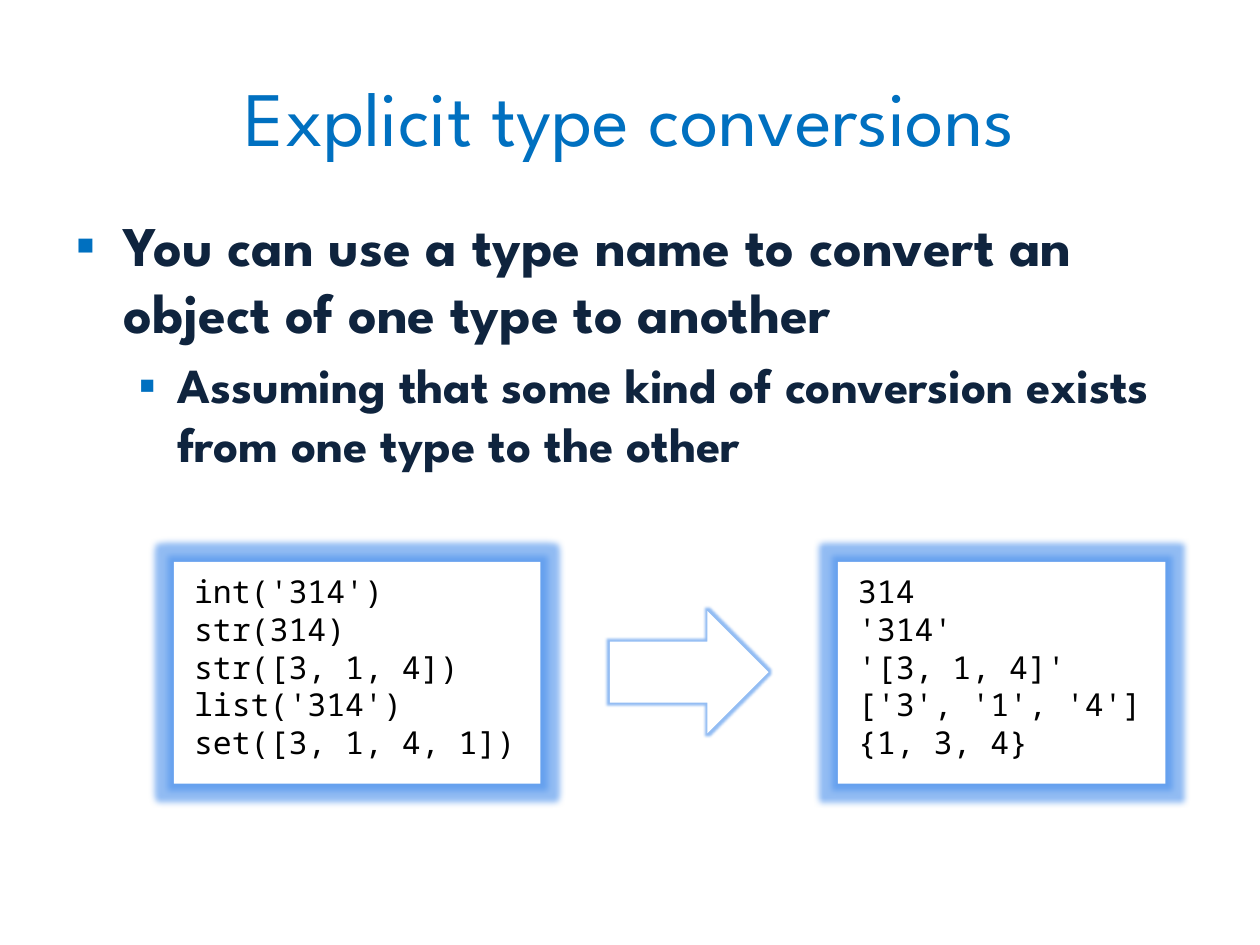
from lxml.etree import SubElement
from pptx import Presentation
from pptx.dml.color import RGBColor
from pptx.enum.shapes import MSO_SHAPE
from pptx.enum.text import MSO_ANCHOR, PP_ALIGN
from pptx.oxml.ns import qn
from pptx.util import Inches, Pt

BLUE = RGBColor(0x00, 0x70, 0xC0)
NAVY = RGBColor(0x0F, 0x24, 0x3E)
GLOW = RGBColor(0x4A, 0x90, 0xEC)
WHITE = RGBColor(0xFF, 0xFF, 0xFF)
BLACK = RGBColor(0x00, 0x00, 0x00)
HEADING_FONT = "League Spartan"
CODE_FONT = "Noto Sans Mono"

presentation = Presentation()
presentation.slide_width = Inches(10)
presentation.slide_height = Inches(7.5)
slide = presentation.slides.add_slide(presentation.slide_layouts[1])


def place(part, left, top, width, height):
    part.left, part.top = Inches(left), Inches(top)
    part.width, part.height = Inches(width), Inches(height)


def add_glowing_shape(kind, left, top, width, height, radius):
    """Add a white shape without an outline, surrounded by a blue glow."""
    shape = slide.shapes.add_shape(
        kind, Inches(left), Inches(top), Inches(width), Inches(height))
    shape.shadow.inherit = False
    shape.fill.solid()
    shape.fill.fore_color.rgb = WHITE
    shape.line.fill.background()
    effects = shape._element.spPr.find(qn("a:effectLst"))
    glow = SubElement(effects, qn("a:glow"), rad=str(Inches(radius)))
    color = SubElement(glow, qn("a:srgbClr"), val=str(GLOW))
    SubElement(color, qn("a:alpha"), val="60000")
    return shape


title = slide.shapes.title
place(title, 0.5, 0.29, 9, 1.25)
title.text_frame.vertical_anchor = MSO_ANCHOR.MIDDLE
heading = title.text_frame.paragraphs[0]
heading.text = "Explicit type conversions"
heading.alignment = PP_ALIGN.CENTER
heading.font.name = HEADING_FONT
heading.font.size = Pt(44)
heading.font.color.rgb = BLUE

# Text, text indent in inches, hanging bullet in inches, size in points
POINTS = [
    ("You can use a type name to convert an object of one type to another",
     0.38, 0.38, 32),
    ("Assuming that some kind of conversion exists from one type to the other",
     0.81, 0.31, 28),
]
body = slide.placeholders[1]
place(body, 0.5, 1.62, 9, 4.95)
body.text_frame.text = "\n".join(point[0] for point in POINTS)
for level, (paragraph, (_, indent, hanging, size)) in enumerate(
        zip(body.text_frame.paragraphs, POINTS)):
    paragraph.level = level
    properties = paragraph._p.get_or_add_pPr()
    properties.set("marL", str(Inches(indent)))
    properties.set("indent", str(-Inches(hanging)))
    bullet_color = SubElement(properties, qn("a:buClr"))
    SubElement(bullet_color, qn("a:srgbClr"), val=str(BLUE))
    SubElement(properties, qn("a:buChar"), char="▪")
    paragraph.font.name = HEADING_FONT
    paragraph.font.size = Pt(size)
    paragraph.font.bold = True
    paragraph.font.color.rgb = NAVY

CONVERSIONS = [
    ("int('314')", "314"),
    ("str(314)", "'314'"),
    ("str([3, 1, 4])", "'[3, 1, 4]'"),
    ("list('314')", "['3', '1', '4']"),
    ("set([3, 1, 4, 1])", "{1, 3, 4}"),
]
calls, results = zip(*CONVERSIONS)
for lines, left, width in [(calls, 1.38, 2.91), (results, 6.65, 2.6)]:
    code_box = add_glowing_shape(
        MSO_SHAPE.RECTANGLE, left, 4.46, width, 1.76, 0.1)
    frame = code_box.text_frame
    frame.word_wrap = True
    frame.vertical_anchor = MSO_ANCHOR.TOP
    frame.margin_left = frame.margin_right = Inches(0.16)
    frame.margin_top = frame.margin_bottom = Inches(0.08)
    frame.text = "\n".join(lines)
    for paragraph in frame.paragraphs:
        paragraph.alignment = PP_ALIGN.LEFT
        paragraph.font.name = CODE_FONT
        paragraph.font.size = Pt(18)
        paragraph.font.color.rgb = BLACK

add_glowing_shape(MSO_SHAPE.RIGHT_ARROW, 4.84, 4.85, 1.26, 0.97, 0.04)

presentation.save("out.pptx")
